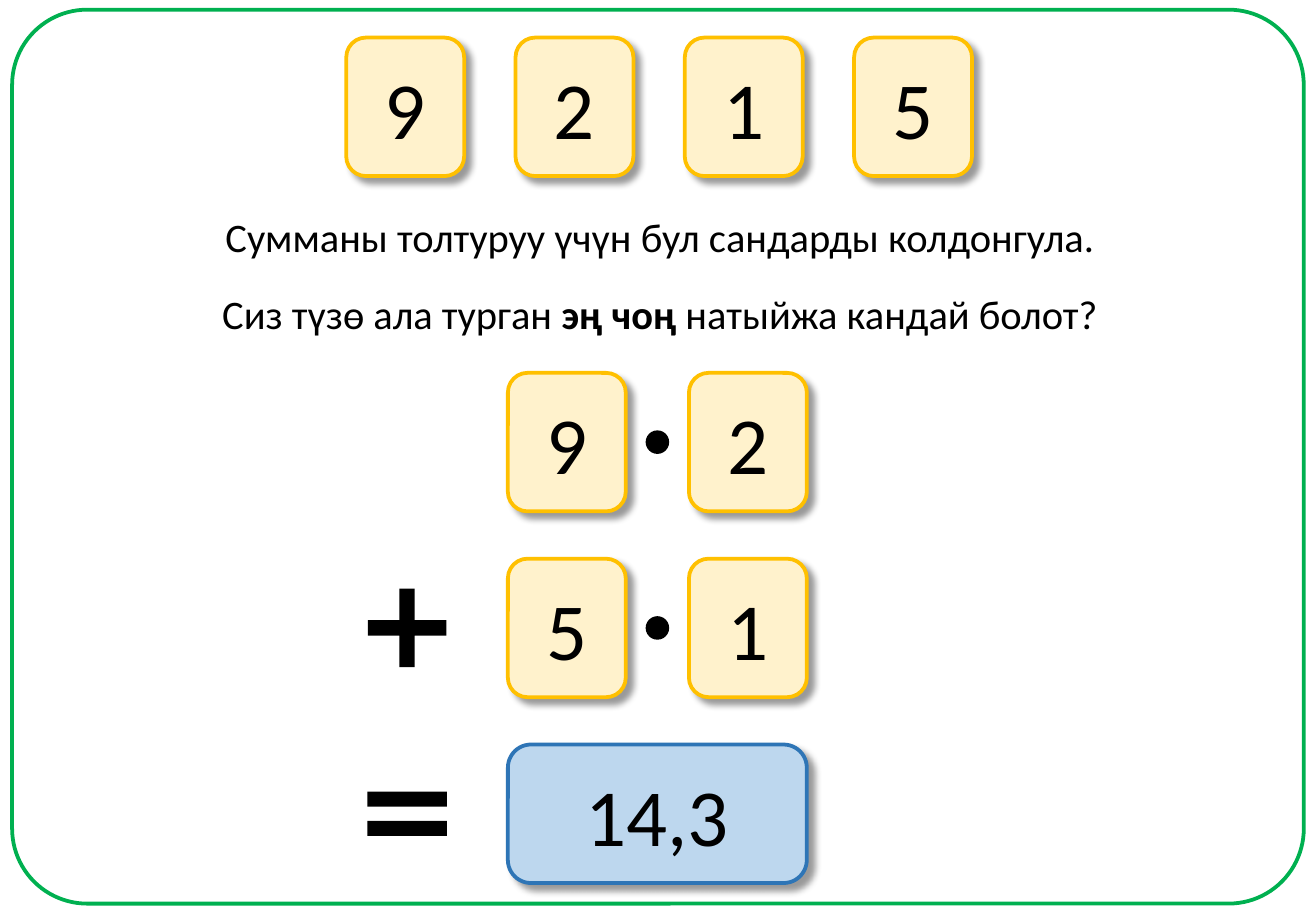
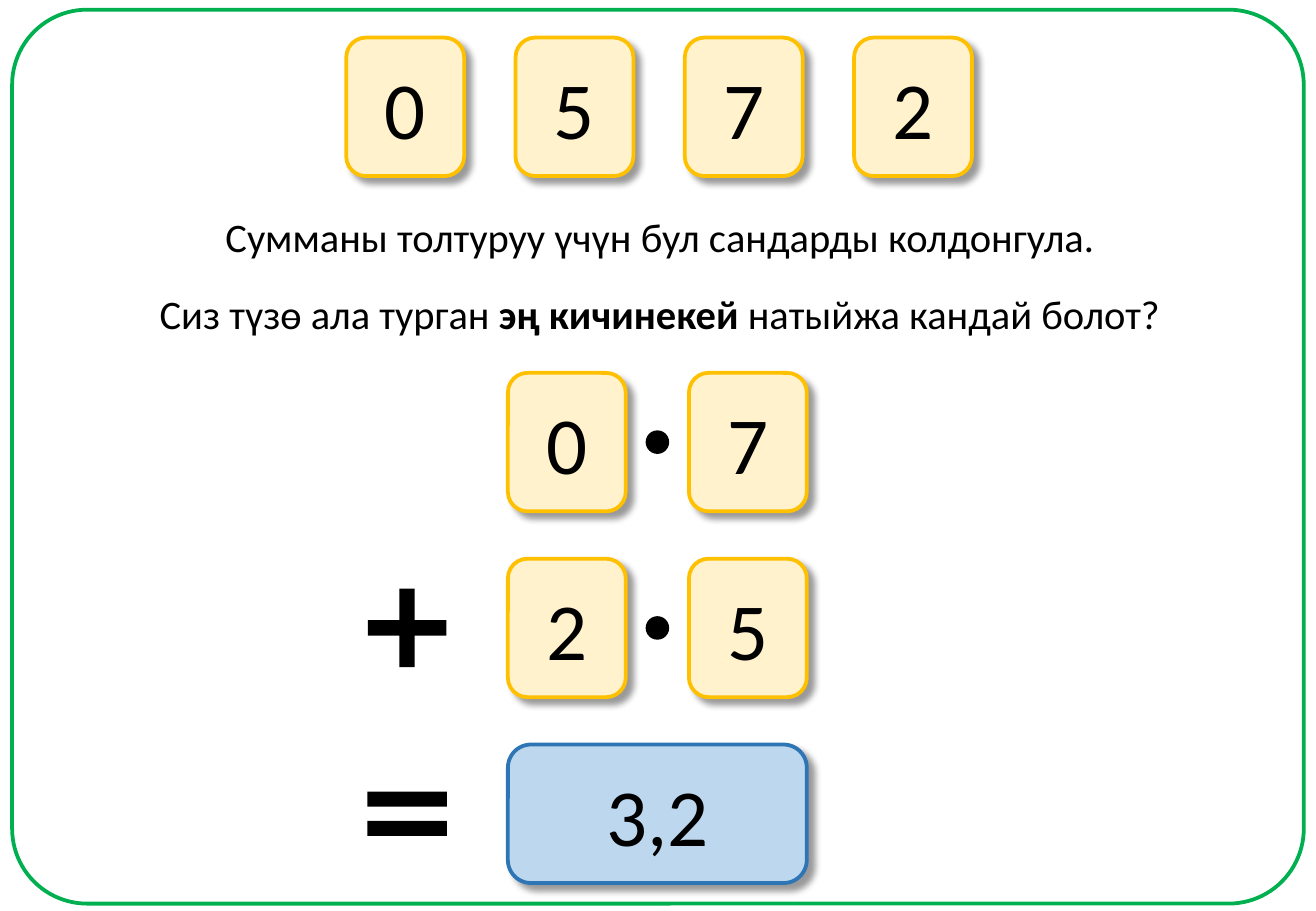
from typing import NamedTuple, Optional

from lxml.etree import SubElement
from pptx import Presentation
from pptx.dml.color import RGBColor
from pptx.enum.shapes import MSO_SHAPE as Preset
from pptx.enum.text import MSO_ANCHOR as Anchor, PP_ALIGN as Align
from pptx.oxml.ns import qn
from pptx.shapes.autoshape import Shape
from pptx.slide import Slide
from pptx.text.text import TextFrame
from pptx.util import Inches, Pt

BLACK = RGBColor(0x00, 0x00, 0x00)
GREEN = RGBColor(0x00, 0xB0, 0x50)
CREAM = RGBColor(0xFF, 0xF2, 0xCC)
AMBER = RGBColor(0xFF, 0xC0, 0x00)
PALE_BLUE = RGBColor(0xBD, 0xD7, 0xEE)
BLUE = RGBColor(0x2E, 0x75, 0xB6)

FONT = "Calibri"
SLIDE_WIDTH, SLIDE_HEIGHT = 10.83, 7.5
BLANK_LAYOUT = 6
BORDER = 2.25

CARD_WIDTH, CARD_HEIGHT = 0.97, 1.14
DIGITS_LEFT, DIGITS_TOP, DIGITS_PITCH = 2.85, 0.31, 1.393
SUM_LEFT, SUM_TOP = 4.18, 3.07
COLUMN_PITCH, ROW_PITCH = 1.49, 1.53
RESULT_WIDTH = COLUMN_PITCH + CARD_WIDTH
SYMBOL_CENTER, DOT_SIZE = 3.35, 0.18
TEXT_CENTER, TEXT_HEIGHT = 5.43, 0.5


class Box(NamedTuple):
    left: float
    top: float
    width: float
    height: float


class Puzzle(NamedTuple):
    digits: str
    goal: str
    question_width: float
    products: tuple[str, str]
    result: str


PUZZLES = (
    Puzzle("9215", "эң чоң ", 7.45, ("92", "51"), "14,3"),
    Puzzle("0572", "эң кичинекей ", 8.46, ("07", "25"), "3,2"),
)


def centered_box(x: float, y: float, width: float, height: float) -> Box:
    return Box(x - width / 2, y - height / 2, width, height)


def row_center(row: int) -> float:
    return SUM_TOP + row * ROW_PITCH + CARD_HEIGHT / 2


def write(frame: TextFrame, *texts: str, size: float, bold_index: Optional[int] = None) -> None:
    """Write one centred paragraph, a run per text, with one run in bold."""
    paragraph = frame.paragraphs[0]
    paragraph.alignment = Align.CENTER
    for index, text in enumerate(texts):
        run = paragraph.add_run()
        run.text = text
        run.font.name = FONT
        run.font.size = Pt(size)
        run.font.bold = index == bold_index
        run.font.color.rgb = BLACK


def add_figure(slide: Slide, preset: Preset, box: Box, *, fill: Optional[RGBColor] = None,
               line: Optional[RGBColor] = None, line_width: float = BORDER,
               adjustments: tuple[float, ...] = ()) -> Shape:
    shape = slide.shapes.add_shape(preset, *map(Inches, box))
    for index, value in enumerate(adjustments):
        shape.adjustments[index] = value
    if fill is None:
        shape.fill.background()
    else:
        shape.fill.solid()
        shape.fill.fore_color.rgb = fill
    if line is None:
        shape.line.fill.background()
    else:
        shape.line.color.rgb = line
        shape.line.width = Pt(line_width)
    shape.shadow.inherit = False
    return shape


def add_drop_shadow(shape: Shape) -> None:
    effects = shape._element.spPr.find(qn("a:effectLst"))
    shadow = SubElement(effects, qn("a:outerShdw"), blurRad=str(Pt(4)), dist=str(Pt(5)),
                        dir=str(45 * 60000), algn="tl", rotWithShape="0")
    color = SubElement(shadow, qn("a:srgbClr"), val=str(BLACK))
    SubElement(color, qn("a:alpha"), val="40000")


def add_card(slide: Slide, text: str, left: float, top: float, *, width: float = CARD_WIDTH,
             fill: RGBColor = CREAM, line: RGBColor = AMBER) -> None:
    box = Box(left, top, width, CARD_HEIGHT)
    card = add_figure(slide, Preset.ROUNDED_RECTANGLE, box, fill=fill, line=line)
    add_drop_shadow(card)
    frame = card.text_frame
    frame.vertical_anchor = Anchor.MIDDLE
    write(frame, text, size=48)


def add_sentence(slide: Slide, *texts: str, top: float, width: float,
                 bold_index: Optional[int] = None) -> None:
    box = Box(TEXT_CENTER - width / 2, top, width, TEXT_HEIGHT)
    frame = slide.shapes.add_textbox(*map(Inches, box)).text_frame
    frame.word_wrap = False
    write(frame, *texts, size=24, bold_index=bold_index)


def add_sum(slide: Slide, puzzle: Puzzle) -> None:
    """Draw the two products, the operators and the result below them."""
    dot_x = SUM_LEFT + RESULT_WIDTH / 2
    for row, factors in enumerate(puzzle.products):
        for column, digit in enumerate(factors):
            add_card(slide, digit, SUM_LEFT + column * COLUMN_PITCH, SUM_TOP + row * ROW_PITCH)
        add_figure(slide, Preset.OVAL, centered_box(dot_x, row_center(row), DOT_SIZE, DOT_SIZE),
                   fill=BLACK, line=BLACK, line_width=1)
    add_figure(slide, Preset.MATH_PLUS, centered_box(SYMBOL_CENTER, row_center(1), 0.88, 0.88),
               fill=BLACK, adjustments=(0.144,))
    add_figure(slide, Preset.MATH_EQUAL, centered_box(SYMBOL_CENTER, row_center(2), 0.89, 1),
               fill=BLACK, adjustments=(0.123, 0.118))
    add_card(slide, puzzle.result, SUM_LEFT, SUM_TOP + 2 * ROW_PITCH, width=RESULT_WIDTH,
             fill=PALE_BLUE, line=BLUE)


def add_puzzle_slide(presentation: Presentation, puzzle: Puzzle) -> None:
    slide = presentation.slides.add_slide(presentation.slide_layouts[BLANK_LAYOUT])
    add_figure(slide, Preset.ROUNDED_RECTANGLE, Box(0.1, 0.08, 10.63, 7.36),
               line=GREEN, adjustments=(0.084,))
    for index, digit in enumerate(puzzle.digits):
        add_card(slide, digit, DIGITS_LEFT + index * DIGITS_PITCH, DIGITS_TOP)
    add_sentence(slide, "Сумманы толтуруу үчүн бул сандарды колдонгула.", top=1.7, width=7.42)
    add_sentence(slide, "Сиз түзө ала турган ", puzzle.goal, "натыйжа кандай болот?",
                 top=2.33, width=puzzle.question_width, bold_index=1)
    add_sum(slide, puzzle)


def main() -> None:
    presentation = Presentation()
    presentation.slide_width = Inches(SLIDE_WIDTH)
    presentation.slide_height = Inches(SLIDE_HEIGHT)
    for puzzle in PUZZLES:
        add_puzzle_slide(presentation, puzzle)
    presentation.save("out.pptx")


if __name__ == "__main__":
    main()
